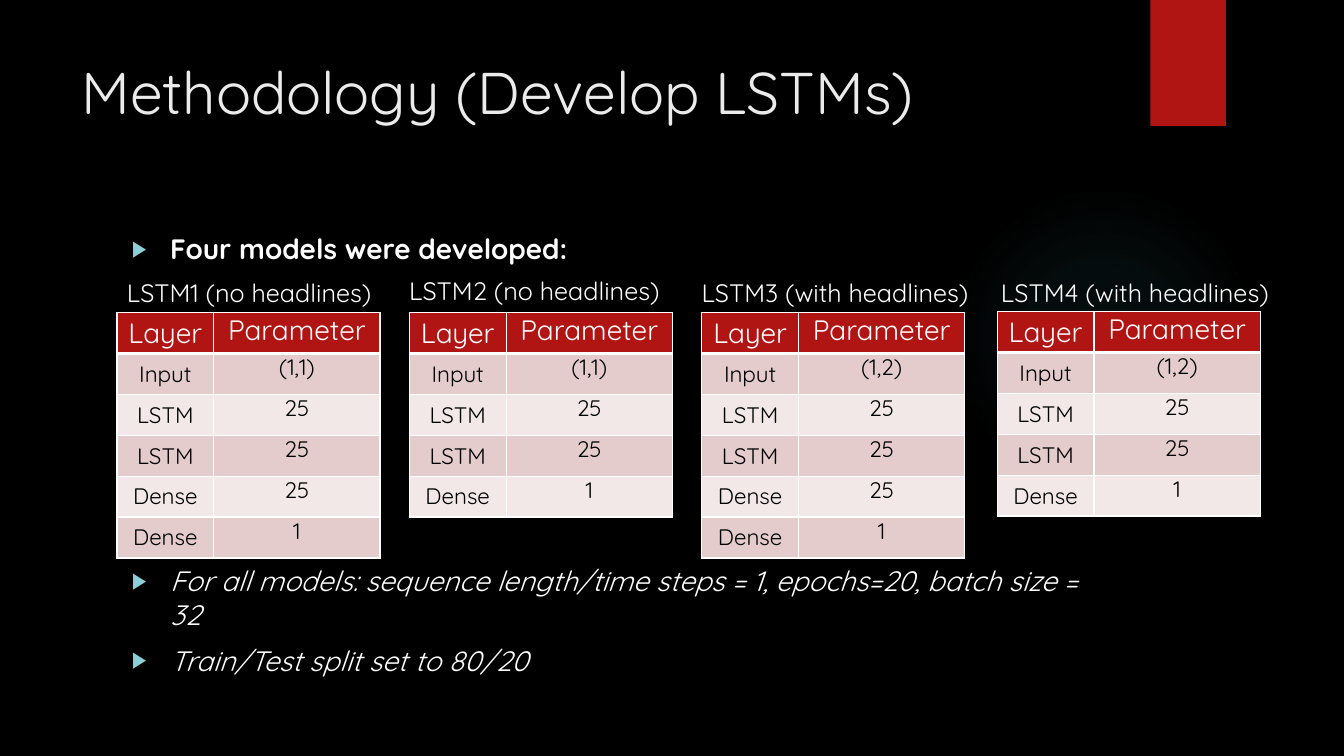
import pptx
import pptx.dml.color
import pptx.enum.shapes
import pptx.enum.text
import pptx.oxml
import pptx.oxml.ns
import pptx.util
from lxml import etree

Inches = pptx.util.Inches
Pt = pptx.util.Pt
RGBColor = pptx.dml.color.RGBColor
MSO_SHAPE = pptx.enum.shapes.MSO_SHAPE
MSO_ANCHOR = pptx.enum.text.MSO_ANCHOR
PP_ALIGN = pptx.enum.text.PP_ALIGN
MSO_AUTO_SIZE = pptx.enum.text.MSO_AUTO_SIZE
qn = pptx.oxml.ns.qn

BLACK = RGBColor(0x00, 0x00, 0x00)
WHITE = RGBColor(0xFF, 0xFF, 0xFF)
TITLE_GREY = RGBColor(0xEB, 0xEB, 0xEB)
RED = RGBColor(0xB0, 0x15, 0x13)
BAND_DARK = RGBColor(0xE4, 0xCC, 0xCC)
BAND_LIGHT = RGBColor(0xF2, 0xE8, 0xE7)
BULLET = RGBColor(0x8A, 0xD0, 0xD6)
GLOW = RGBColor(0x50, 0xB9, 0xC1)
FONT = "Quicksand"
ROW_H = 2.03 / 5


def add_run(p, text, size, color, **formats):
    r = p.add_run()
    r.text = text
    r.font.color.rgb = color
    for name, value in {"name": FONT, "size": Pt(size), **formats}.items():
        setattr(r.font, name, value)


def add_text_box(left, top, width, height, wrap=True):
    tf = s.shapes.add_textbox(Inches(left), Inches(top), Inches(width), Inches(height)).text_frame
    tf.word_wrap = wrap
    return tf


prs = pptx.Presentation()
prs.slide_width = Inches(13.33)
prs.slide_height = Inches(7.5)
s = prs.slides.add_slide(prs.slide_layouts[6])
s.background.fill.solid()
s.background.fill.fore_color.rgb = BLACK

# Background glow and red tab
glow = s.shapes.add_shape(MSO_SHAPE.OVAL, Inches(9.41), Inches(1.83), Inches(3.08), Inches(3.08))
glow.shadow.inherit = False
glow.line.fill.background()
glow.fill.background()
stops = "".join(
    f'<a:gs pos="{pos * 1000}"><a:srgbClr val="{GLOW}"><a:alpha val="{alpha * 1000}"/></a:srgbClr></a:gs>'
    for pos, alpha in [(0, 7), (36, 6), (69, 0), (100, 0)])
gradient = pptx.oxml.parse_xml(
    f'<a:gradFill {pptx.oxml.ns.nsdecls("a")}><a:gsLst>{stops}</a:gsLst><a:path path="circle">'
    '<a:fillToRect l="50000" t="50000" r="50000" b="50000"/></a:path></a:gradFill>')
sp_pr = glow.element.spPr
sp_pr.replace(sp_pr.find(qn("a:noFill")), gradient)

tab = s.shapes.add_shape(MSO_SHAPE.RECTANGLE, Inches(11.41), 0, Inches(0.75), Inches(1.25))
tab.shadow.inherit = False
tab.line.fill.background()
tab.fill.solid()
tab.fill.fore_color.rgb = RED

# Title
tf = add_text_box(0.71, 0.5, 10.29, 1.53)
add_run(tf.paragraphs[0], "Methodology (Develop LSTMs)", 42, TITLE_GREY)

# Bullets: the space before the second one leaves room for the tables
tf = add_text_box(1.21, 2.25, 9.78, 4.59)
bullets = [
    ("Four models were developed:", 0, {"bold": True}),
    ("For all models: sequence length/time steps = 1, epochs=20, batch size = 32", 213, {"italic": True}),
    ("Train/Test split set to 80/20", 9, {"italic": True}),
]
for i, (text, space, formats) in enumerate(bullets):
    p = tf.add_paragraph() if i else tf.paragraphs[0]
    p.space_before = Pt(space)
    add_run(p, text, 20, WHITE, **formats)
    p_pr = p._p.get_or_add_pPr()
    p_pr.set("marL", str(Inches(0.38)))
    p_pr.set("indent", str(-Inches(0.38)))
    color = etree.SubElement(p_pr, qn("a:buClr"))
    etree.SubElement(color, qn("a:srgbClr"), val=str(BULLET))
    etree.SubElement(p_pr, qn("a:buSzPct"), val="80000")
    etree.SubElement(p_pr, qn("a:buFont"), typeface="Arial")
    etree.SubElement(p_pr, qn("a:buChar"), char="▶")

# Models: caption, its left, top and width, table left and top, input shape, LSTM and Dense parameters
models = [
    ("LSTM1 (no headlines)", 1.16, 2.7, 2.75, 1.16, 3.1, "(1,1)", ["25", "1"]),
    ("LSTM2 (no headlines)", 3.96, 2.68, 2.75, 4.06, 3.1, "(1,1)", ["1"]),
    ("LSTM3 (with headlines)", 6.86, 2.7, 2.93, 6.96, 3.1, "(1,2)", ["25", "1"]),
    ("LSTM4 (with headlines)", 9.83, 2.7, 2.93, 9.89, 3.09, "(1,2)", ["1"]),
]
for caption, cap_left, cap_top, cap_width, left, top, input_shape, dense in models:
    tf = add_text_box(cap_left, cap_top, cap_width, 0.4, wrap=False)
    tf.auto_size = MSO_AUTO_SIZE.SHAPE_TO_FIT_TEXT
    add_run(tf.paragraphs[0], caption, 18, WHITE)

    rows = [("Layer", "Parameter"), ("Input", input_shape), ("LSTM", "25"), ("LSTM", "25")]
    rows += [("Dense", units) for units in dense]
    table = s.shapes.add_table(len(rows), 2, Inches(left), Inches(top),
                               Inches(2.61), Inches(ROW_H * len(rows))).table
    table.columns[0].width = Inches(0.96)
    table.columns[1].width = Inches(1.65)
    for i, row in enumerate(rows):
        for j, text in enumerate(row):
            cell = table.cell(i, j)
            cell.margin_left = cell.margin_right = Inches(0.07)
            cell.margin_top = cell.margin_bottom = 0
            cell.vertical_anchor = MSO_ANCHOR.TOP if j else MSO_ANCHOR.MIDDLE
            cell.fill.solid()
            cell.fill.fore_color.rgb = RED if i == 0 else BAND_DARK if i % 2 else BAND_LIGHT
            p = cell.text_frame.paragraphs[0]
            p.alignment = PP_ALIGN.CENTER
            add_run(p, text, 16 if i else 20, BLACK if i else WHITE, bold=False)
            tc_pr = cell._tc.get_or_add_tcPr()
            for k, side in enumerate("LRTB"):
                thick = (i, side) in [(0, "B"), (1, "T")]
                ln = etree.Element(qn(f"a:ln{side}"), w=str(Pt(3 if thick else 1)))
                fill = etree.SubElement(ln, qn("a:solidFill"))
                etree.SubElement(fill, qn("a:srgbClr"), val=str(WHITE))
                tc_pr.insert(k, ln)

prs.save("out.pptx")
